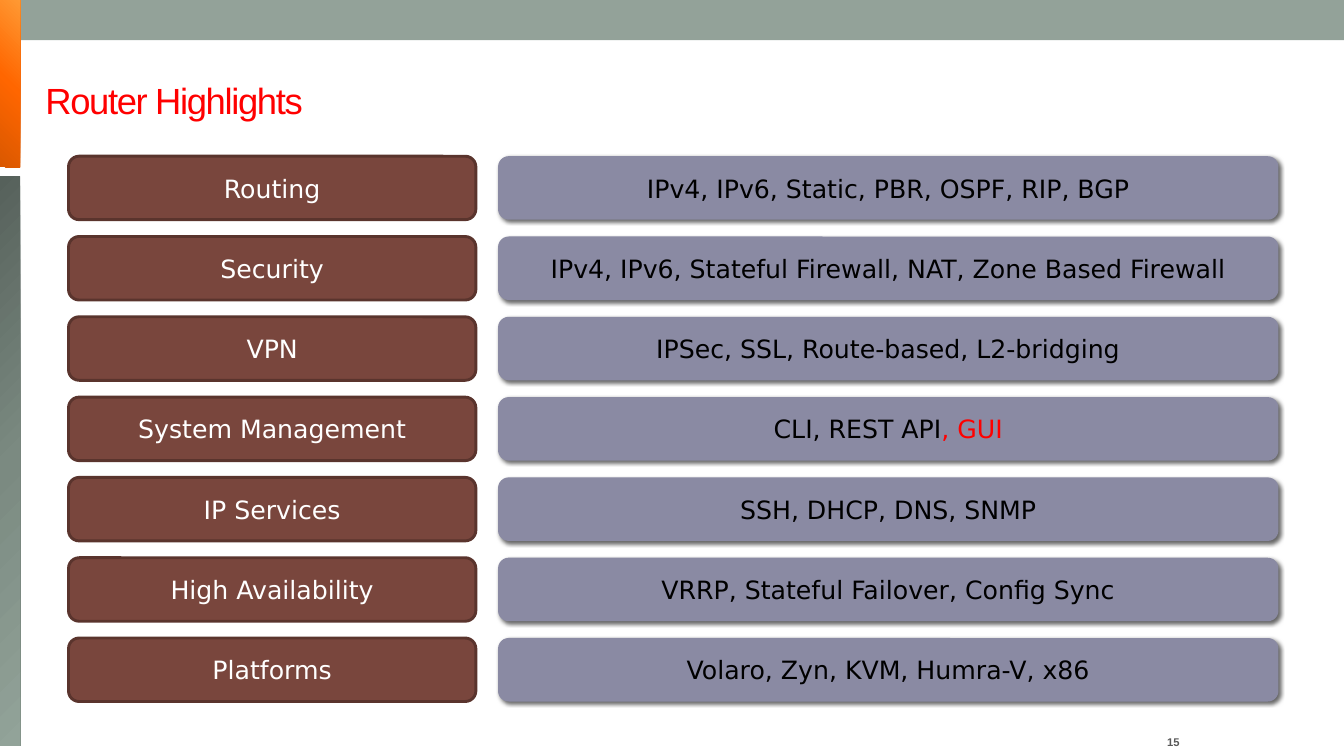
import pptx
import pptx.util
import pptx.dml.color
import pptx.enum.shapes
import pptx.enum.text
import pptx.oxml
import pptx.oxml.ns

Inches = pptx.util.Inches
Pt = pptx.util.Pt
KIND = pptx.enum.shapes.MSO_SHAPE
ALIGN = pptx.enum.text.PP_ALIGN
ANCHOR = pptx.enum.text.MSO_ANCHOR
NS = pptx.oxml.ns.nsdecls("a")


def paint(color, code):
    color.rgb = pptx.dml.color.RGBColor.from_string(code)


def style(run, size, face, code):
    run.font.size = Pt(size)
    run.font.name = face
    paint(run.font.color, code)


deck = pptx.Presentation()
deck.slide_width = Inches(13.33)
deck.slide_height = Inches(7.5)
slide = deck.slides.add_slide(deck.slide_layouts[5])
shapes = slide.shapes

band = shapes.add_shape(KIND.RECTANGLE, 0, 0, Inches(13.33), Inches(0.4))
band.shadow.inherit = False
band.fill.solid()
paint(band.fill.fore_color, "93A299")
band.line.fill.background()

strips = [
    (0, 1.66, 315, ["DA5800", "FF6600", "FF9933"]),
    (1.75, 5.65, 45, ["56615B", "7B8A81", "92A399"]),
]
for top, high, angle, codes in strips:
    strip = shapes.add_shape(KIND.RECTANGLE, 0, Inches(top), Inches(0.2), Inches(high))
    strip.shadow.inherit = False
    strip.line.fill.background()
    stops = "".join(
        f'<a:gs pos="{i * 50000}"><a:srgbClr val="{code}"/></a:gs>'
        for i, code in enumerate(codes)
    )
    blend = pptx.oxml.parse_xml(
        f'<a:gradFill {NS} rotWithShape="1"><a:gsLst>{stops}</a:gsLst>'
        f'<a:lin ang="{angle * 60000}" scaled="0"/></a:gradFill>'
    )
    strip._element.spPr.find(pptx.oxml.ns.qn("a:prstGeom")).addnext(blend)

title = shapes.title
title.left, title.top = Inches(0.35), Inches(0.67)
title.width, title.height = Inches(11.97), Inches(0.69)
frame = title.text_frame
frame.text = "Router Highlights"
frame.auto_size = pptx.enum.text.MSO_AUTO_SIZE.NONE
frame.vertical_anchor = ANCHOR.MIDDLE
line = frame.paragraphs[0]
line.alignment = ALIGN.LEFT
line.line_spacing = 0.95
style(line.runs[0], 26, "Arial", "FF0000")
line.runs[0].font._element.set("spc", "-100")

rows = [
    ("Routing", ["IPv4, IPv6, Static, PBR, OSPF, RIP, BGP"]),
    ("Security", ["IPv4, IPv6, Stateful Firewall, NAT, Zone Based Firewall"]),
    ("VPN", ["IPSec, SSL, Route-based, L2-bridging"]),
    ("System Management", ["CLI, REST API", ", GUI"]),
    ("IP Services", ["SSH, DHCP, DNS, SNMP"]),
    ("High Availability", ["VRRP, Stateful Failover, Config Sync"]),
    ("Platforms", ["Volaro, Zyn, KVM, Humra-V, x86"]),
]
first, last = 1.55, 6.33
step = (last - first) / (len(rows) - 1)
for i, (topic, items) in enumerate(rows):
    cells = [
        (0.68, 4.04, "79463D", [topic], ["FFFFFF"]),
        (4.94, 7.74, "8A8AA3", items, ["000000", "FF0000"]),
    ]
    for left, wide, fill, parts, inks in cells:
        box = shapes.add_shape(
            KIND.ROUNDED_RECTANGLE,
            Inches(left), Inches(first + i * step), Inches(wide), Inches(0.63),
        )
        box.shadow.inherit = False
        box.fill.solid()
        paint(box.fill.fore_color, fill)
        if parts is items:
            box.line.fill.background()
            shade = pptx.oxml.parse_xml(
                f'<a:outerShdw {NS} blurRad="{Pt(3)}" dist="{Pt(2)}" dir="2700000" '
                'algn="ctr" rotWithShape="0"><a:srgbClr val="000000">'
                '<a:alpha val="60000"/></a:srgbClr></a:outerShdw>'
            )
            box._element.spPr.find(pptx.oxml.ns.qn("a:effectLst")).append(shade)
        else:
            paint(box.line.color, "5A342D")
            box.line.width = Pt(2.08)
        box.text_frame.word_wrap = True
        box.text_frame.vertical_anchor = ANCHOR.MIDDLE
        line = box.text_frame.paragraphs[0]
        line.alignment = ALIGN.CENTER
        for part, ink in zip(parts, inks):
            run = line.add_run()
            run.text = part
            style(run, 18, "DejaVu Sans", ink)

page = shapes.add_textbox(Inches(11.33), Inches(7.26), Inches(0.37), Inches(0.17))
frame = page.text_frame
frame.text = "15"
frame.word_wrap = True
frame.vertical_anchor = ANCHOR.BOTTOM
frame.margin_left = frame.margin_right = frame.margin_top = frame.margin_bottom = 0
line = frame.paragraphs[0]
line.alignment = ALIGN.RIGHT
style(line.runs[0], 8, "Arial", "595959")
line.runs[0].font.bold = True

deck.save("out.pptx")
